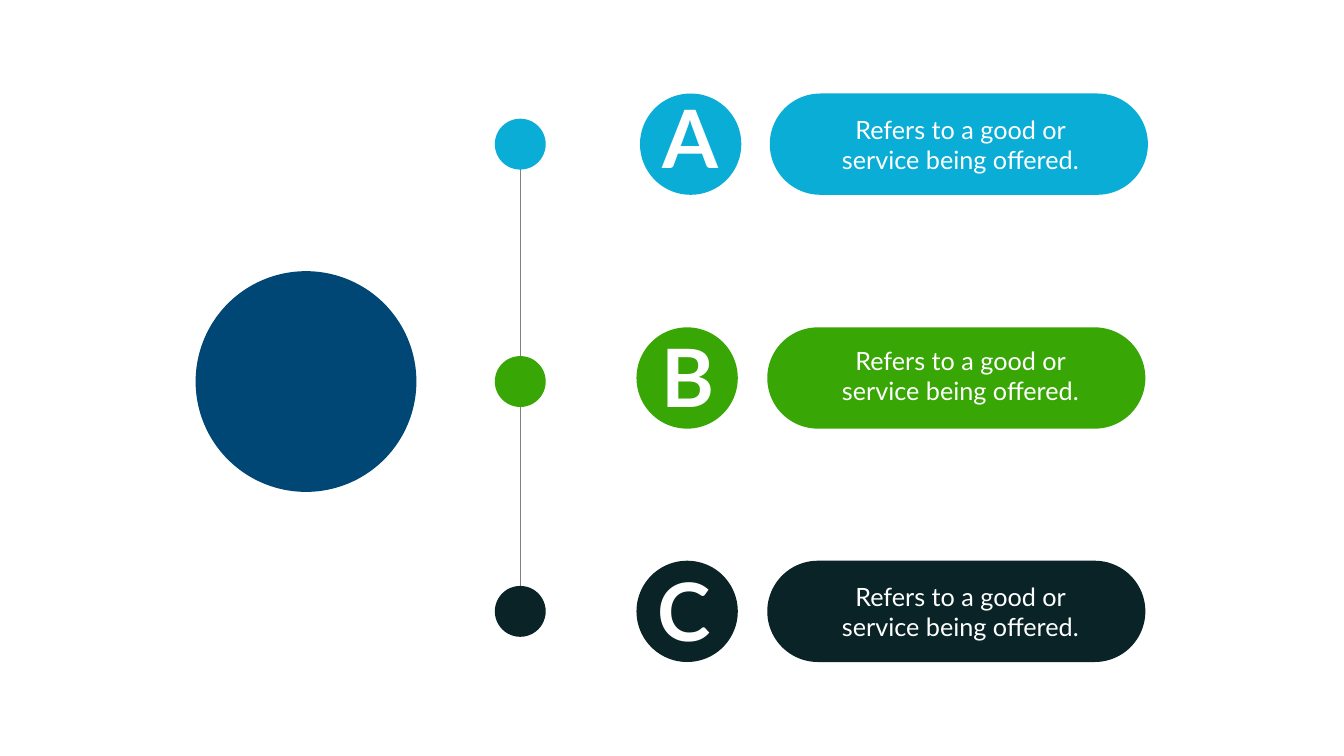
from dataclasses import dataclass
from pptx import Presentation
from pptx.dml.color import RGBColor
from pptx.enum.shapes import MSO_CONNECTOR, MSO_SHAPE
from pptx.enum.text import MSO_AUTO_SIZE, PP_ALIGN
from pptx.oxml.ns import qn
from pptx.util import Pt
from lxml import etree

OVAL = MSO_SHAPE.OVAL
PILL = MSO_SHAPE.ROUNDED_RECTANGLE
LINE = MSO_CONNECTOR.STRAIGHT
GROW = MSO_AUTO_SIZE.SHAPE_TO_FIT_TEXT
MID = PP_ALIGN.CENTER


@dataclass(frozen=True)
class Theme:
    font: str = "Lato"
    hub: str = "004776"
    rule: str = "808080"
    text: str = "FFFFFF"
    large: int = 115
    body: int = 36
    thin: float = 0.88


THEME = Theme()
PX = 9144
WIDE, HIGH = 2666, 1500
HUB, DOT, BADGE = 438, 101, 201
PILL_W = 750
HUB_X, DOT_X = 607, 1032
NOTE = "Refers to a good or service being offered."

ROWS = [
    dict(letter="A", note=NOTE, color="09ADD5", mid=286, dot=286,
         badge=1370, pill=1902, sign=(1280, 170), body=221),
    dict(letter="B", note=NOTE, color="38A604", mid=750, dot=757,
         badge=1363, pill=1897, sign=(1276, 644), body=680),
    dict(letter="C", note=NOTE, color="0A2326", mid=1213, dot=1213,
         badge=1363, pill=1897, sign=(1268, 1108), body=1148),
]


def px(*vals):
    return [round(v * PX) for v in vals]


def add_form(slide, kind, x, y, w, h, color):
    form = slide.shapes.add_shape(kind, *px(x - w / 2, y - h / 2, w, h))
    form.shadow.inherit = False
    form.fill.solid()
    form.fill.fore_color.rgb = RGBColor.from_string(color)
    form.line.fill.background()
    return form


def add_text(slide, text, x, y, w, h, size, bold=False):
    frame = slide.shapes.add_textbox(*px(x, y, w, h)).text_frame
    frame.word_wrap = True
    frame.auto_size = GROW
    para = frame.paragraphs[0]
    para.text = text
    para.alignment = MID
    para.font.name = THEME.font
    para.font.size = Pt(size)
    para.font.bold = bold
    para.font.color.rgb = RGBColor.from_string(THEME.text)


def add_rule(slide, x, top, end):
    rule = slide.shapes.add_connector(LINE, *px(x, top, x, end))
    rule.line.color.rgb = RGBColor.from_string(THEME.rule)
    rule.line.width = Pt(THEME.thin)
    etree.SubElement(rule._element.spPr, qn("a:effectLst"))


def add_row(slide, row):
    color, mid = row["color"], row["mid"]
    add_form(slide, OVAL, DOT_X, row["dot"], DOT, DOT, color)
    add_form(slide, OVAL, row["badge"], mid, BADGE, BADGE, color)
    pill = add_form(slide, PILL, row["pill"], mid, PILL_W, BADGE, color)
    pill.adjustments[0] = 0.5
    add_text(slide, row["letter"], *row["sign"], 179, 204, THEME.large, True)
    add_text(slide, row["note"], 1657, row["body"], 496, 131, THEME.body)


def main():
    deck = Presentation()
    deck.slide_width, deck.slide_height = px(WIDE, HIGH)
    slide = deck.slides.add_slide(deck.slide_layouts[6])
    add_form(slide, OVAL, HUB_X, ROWS[1]["dot"], HUB, HUB, THEME.hub)
    add_rule(slide, DOT_X, ROWS[0]["dot"], ROWS[-1]["dot"])
    for row in ROWS:
        add_row(slide, row)
    deck.save("out.pptx")


if __name__ == "__main__":
    main()
